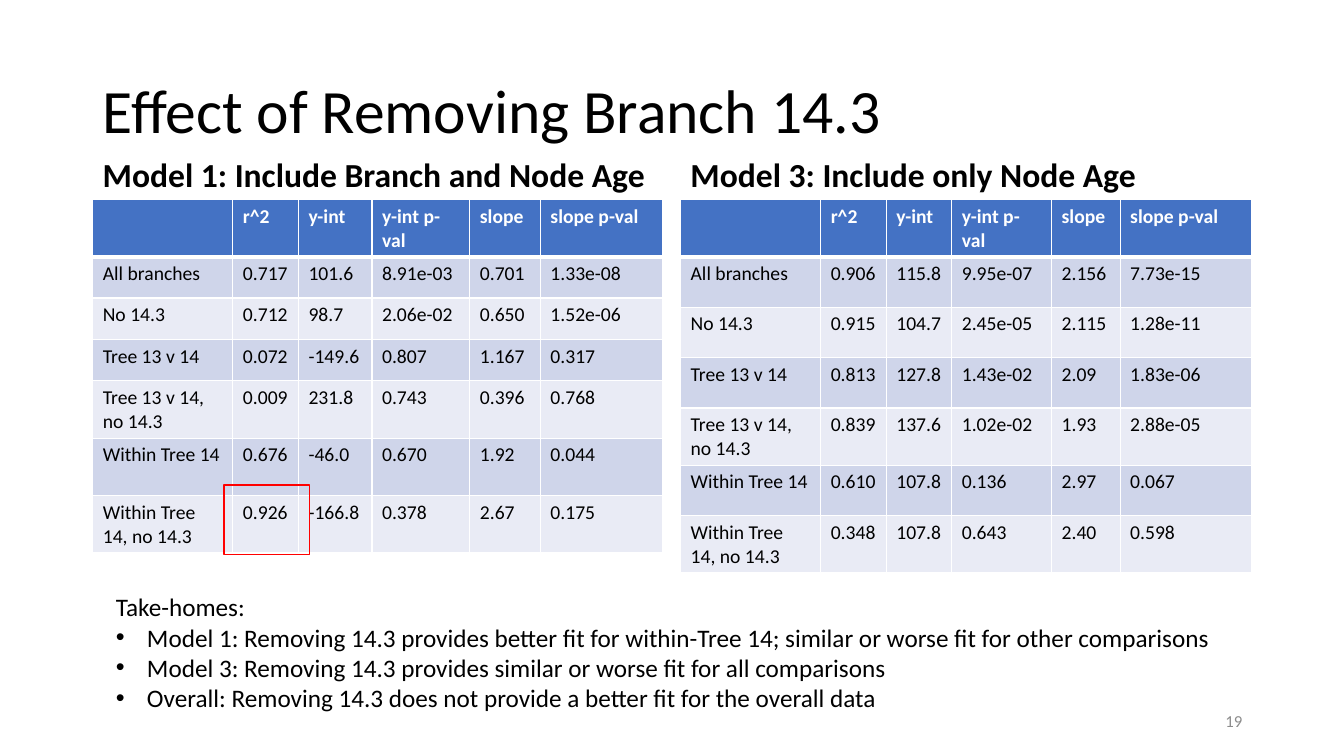
from dataclasses import dataclass

from lxml.etree import SubElement
from pptx import Presentation
from pptx.dml.color import RGBColor
from pptx.enum.shapes import MSO_SHAPE as Preset
from pptx.enum.text import MSO_ANCHOR as Anchor, MSO_AUTO_SIZE as AutoSize, PP_ALIGN as Align
from pptx.oxml.ns import qn
from pptx.util import Inches, Pt


@dataclass(frozen=True)
class Theme:
    """Colours, font and type sizes of the slide."""
    font: str = "Calibri"
    ink: str = "000000"
    white: str = "FFFFFF"
    header: str = "4472C4"
    bands: tuple = ("CFD5EA", "E9EBF5")
    muted: str = "8C8C8C"
    highlight: str = "FF0000"
    title_size: int = 44
    heading_size: int = 24
    body_size: int = 18
    table_size: int = 14
    number_size: int = 12


THEME = Theme()
TITLE_ONLY = 5
LEFT, TABLE_TOP = 0.92, 1.98
HEADING_TOP, HEADING_HEIGHT = 1.08, 0.9

COLUMNS = ["", "r^2", "y-int", "y-int p-val", "slope", "slope p-val"]
COMPARISONS = ["All branches", "No 14.3", "Tree 13 v 14", "Tree 13 v 14, no 14.3",
               "Within Tree 14", "Within Tree 14, no 14.3"]
MODELS = [
    dict(heading="Model 1: Include Branch and Node Age", left=LEFT,
         widths=[1.39, 0.65, 0.73, 0.97, 0.7, 1.21],
         heights=[0.41] * 4 + [0.57] * 3,
         results=["0.717 101.6 8.91e-03 0.701 1.33e-08",
                  "0.712 98.7 2.06e-02 0.650 1.52e-06",
                  "0.072 -149.6 0.807 1.167 0.317",
                  "0.009 231.8 0.743 0.396 0.768",
                  "0.676 -46.0 0.670 1.92 0.044",
                  "0.926 -166.8 0.378 2.67 0.175"]),
    dict(heading="Model 3: Include only Node Age", left=6.75,
         widths=[1.39, 0.65, 0.65, 0.99, 0.68, 1.3],
         heights=[0.4, 0.5, 0.5, 0.5, 0.56, 0.5, 0.56],
         results=["0.906 115.8 9.95e-07 2.156 7.73e-15",
                  "0.915 104.7 2.45e-05 2.115 1.28e-11",
                  "0.813 127.8 1.43e-02 2.09 1.83e-06",
                  "0.839 137.6 1.02e-02 1.93 2.88e-05",
                  "0.610 107.8 0.136 2.97 0.067",
                  "0.348 107.8 0.643 2.40 0.598"]),
]
TAKE_HOMES = [
    "Model 1: Removing 14.3 provides better fit for within-Tree 14; "
    "similar or worse fit for other comparisons",
    "Model 3: Removing 14.3 provides similar or worse fit for all comparisons",
    "Overall: Removing 14.3 does not provide a better fit for the overall data",
]


def write_text(paragraph, text, size=THEME.body_size, color=THEME.ink, bold=False,
               align=Align.LEFT, line_spacing=None, bullet_indent=None):
    """Write formatted text into a paragraph, with a bullet if an indent is given."""
    run = paragraph.add_run()
    run.text = text
    run.font.name, run.font.size, run.font.bold = THEME.font, Pt(size), bold
    run.font.color.rgb = RGBColor.from_string(color)
    paragraph.alignment = align
    if line_spacing:
        paragraph.line_spacing = line_spacing
    if bullet_indent:
        properties = paragraph._p.get_or_add_pPr()
        properties.set("marL", str(Inches(bullet_indent)))
        properties.set("indent", str(-Inches(bullet_indent)))
        SubElement(properties, qn("a:buFont"), typeface="Arial")
        SubElement(properties, qn("a:buChar"), char="•")


def set_borders(cell, color, **widths):
    """Draw cell borders; widths in points are keyed by side: L, R, T, B."""
    properties = cell._tc.get_or_add_tcPr()
    for side, width in widths.items():
        line = SubElement(properties, qn(f"a:ln{side}"), w=str(Pt(width)))
        fill = SubElement(line, qn("a:solidFill"))
        SubElement(fill, qn("a:srgbClr"), val=color)


class SlideBuilder:
    """Holds the theme and the current slide, and adds elements to it."""

    def __init__(self, slide, theme):
        """Keep the slide and its theme."""
        self.slide, self.theme = slide, theme

    def title(self, text, left, top, width, height):
        """Place and format the title placeholder."""
        shape = self.slide.shapes.title
        shape.left, shape.top = Inches(left), Inches(top)
        shape.width, shape.height = Inches(width), Inches(height)
        frame = shape.text_frame
        frame.auto_size, frame.vertical_anchor = AutoSize.NONE, Anchor.MIDDLE
        write_text(frame.paragraphs[0], text, size=self.theme.title_size, line_spacing=0.9)

    def text(self, text, left, top, width, height, anchor=Anchor.TOP, **style):
        """Add a wrapped text box and return its frame."""
        box = self.slide.shapes.add_textbox(
            Inches(left), Inches(top), Inches(width), Inches(height))
        frame = box.text_frame
        frame.word_wrap, frame.vertical_anchor = True, anchor
        write_text(frame.paragraphs[0], text, **style)
        return frame

    def bullets(self, intro, items, left, top, width, height):
        """Add an introductory line followed by bulleted items."""
        frame = self.text(intro, left, top, width, height)
        for item in items:
            write_text(frame.add_paragraph(), item, bullet_indent=0.31)

    def table(self, rows, left, top, widths, heights):
        """Add a table with a header row and banded body rows."""
        table = self.slide.shapes.add_table(
            len(rows), len(widths), Inches(left), Inches(top),
            Inches(sum(widths)), Inches(sum(heights))).table
        for column, width in zip(table.columns, widths):
            column.width = Inches(width)
        for index, (row, height, values) in enumerate(zip(table.rows, heights, rows)):
            row.height = Inches(height)
            for cell, value in zip(row.cells, values):
                self.cell(cell, value, index)

    def cell(self, cell, value, row_index):
        """Format one table cell according to its row."""
        theme, is_header = self.theme, row_index == 0
        set_borders(cell, theme.white, L=1, R=1, T=3 if row_index == 1 else 1,
                    B=3 if is_header else 1)
        fill = theme.header if is_header else theme.bands[(row_index - 1) % 2]
        cell.fill.solid()
        cell.fill.fore_color.rgb = RGBColor.from_string(fill)
        if value:
            write_text(cell.text_frame.paragraphs[0], value, size=theme.table_size,
                       color=theme.white if is_header else theme.ink, bold=is_header)

    def outline(self, left, top, width, height):
        """Add an unfilled highlight rectangle."""
        shape = self.slide.shapes.add_shape(
            Preset.RECTANGLE, Inches(left), Inches(top), Inches(width), Inches(height))
        shape.shadow.inherit = False
        shape.fill.background()
        shape.line.color.rgb = RGBColor.from_string(self.theme.highlight)
        shape.line.width = Pt(1)


def main():
    """Build the slide and save the presentation."""
    presentation = Presentation()
    presentation.slide_width, presentation.slide_height = Inches(13.33), Inches(7.5)
    slide = presentation.slides.add_slide(presentation.slide_layouts[TITLE_ONLY])
    builder = SlideBuilder(slide, THEME)

    builder.title("Effect of Removing Branch 14.3", LEFT, 0.4, 11.5, 1.45)
    for model in MODELS:
        builder.text(model["heading"], model["left"], HEADING_TOP, sum(model["widths"]),
                     HEADING_HEIGHT, anchor=Anchor.BOTTOM, size=THEME.heading_size,
                     bold=True, line_spacing=0.9)
        body = [[name, *result.split()]
                for name, result in zip(COMPARISONS, model["results"])]
        builder.table([COLUMNS, *body], model["left"], TABLE_TOP,
                      model["widths"], model["heights"])
    builder.text("19", 9.42, 6.95, 3, 0.4, anchor=Anchor.MIDDLE, align=Align.RIGHT,
                 size=THEME.number_size, color=THEME.muted)
    builder.bullets("Take-homes:", TAKE_HOMES, 1.05, 5.82, 11.36, 1.31)
    builder.outline(2.22, 4.81, 0.85, 0.69)
    presentation.save("out.pptx")


main()
